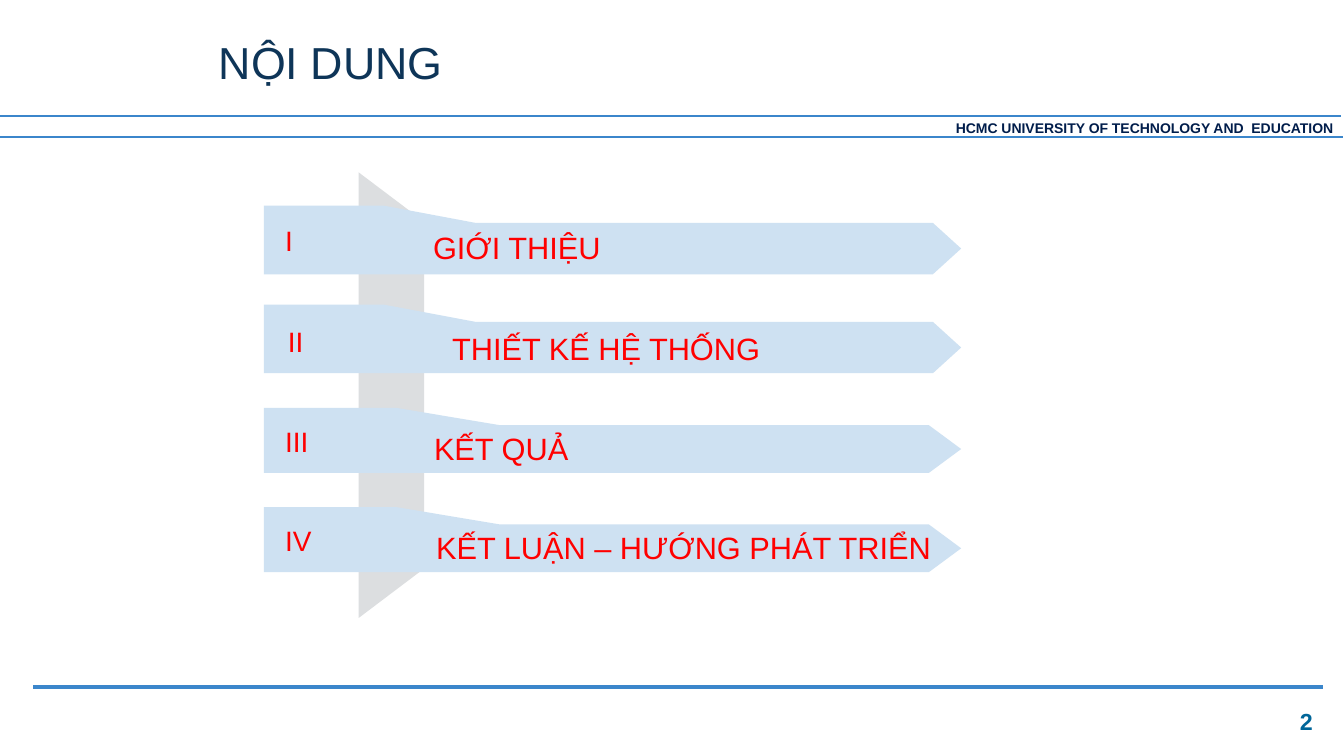
from pptx import Presentation
from pptx.dml.color import RGBColor
from pptx.enum.shapes import MSO_CONNECTOR
from pptx.enum.text import MSO_ANCHOR, PP_ALIGN
from pptx.oxml.ns import qn
from pptx.util import Pt
from lxml.etree import SubElement

COLORS = {
    "rule": "3B86CB",
    "university": "001D4B",
    "title": "0E3558",
    "page": "006699",
    "spine": "DCDEE0",
    "bar": "CEE1F2",
    "item": "FF0000",
}
BAR_LEFT, BAR_TIP = 188.6, 686.9
SHOULDER_DROP = 12.3
TALL_BAR = {"height": 49, "bend": 274.3, "neck": 339.8, "head": 666.7}
SHORT_BAR = {"height": 46.4, "bend": 283.7, "neck": 357.1, "head": 663.8}


def add_text(slide, text, left, top, width, height, *, size, color, bold=False,
             align=PP_ALIGN.LEFT, anchor=MSO_ANCHOR.TOP, wrap=True,
             margins=(7.2, 3.6, 7.2, 3.6)):
    """Add a text box with one formatted paragraph."""
    shape = slide.shapes.add_textbox(Pt(left), Pt(top), Pt(width), Pt(height))
    frame = shape.text_frame
    frame.word_wrap = wrap
    frame.vertical_anchor = anchor
    (frame.margin_left, frame.margin_top,
     frame.margin_right, frame.margin_bottom) = map(Pt, margins)
    paragraph = frame.paragraphs[0]
    paragraph.alignment = align
    run = paragraph.add_run()
    run.text = text
    run.font.name = "Arial"
    run.font.size = Pt(size)
    run.font.bold = bold
    run.font.color.rgb = RGBColor.from_string(COLORS[color])


def add_rule(slide, left, right, top, weight):
    """Add a horizontal rule without a shadow."""
    rule = slide.shapes.add_connector(
        MSO_CONNECTOR.STRAIGHT, Pt(left), Pt(top), Pt(right), Pt(top))
    rule.line.color.rgb = RGBColor.from_string(COLORS["rule"])
    rule.line.width = Pt(weight)
    SubElement(rule._element.spPr, qn("a:effectLst"))


def add_outline(slide, points, color):
    """Add a closed filled outline through the given points."""
    start, *others = [(Pt(x), Pt(y)) for x, y in points]
    builder = slide.shapes.build_freeform(*start)
    builder.add_line_segments(others, close=True)
    shape = builder.convert_to_shape()
    shape.shadow.inherit = False
    shape.fill.solid()
    shape.fill.fore_color.rgb = RGBColor.from_string(COLORS[color])
    shape.line.fill.background()


def add_bar(slide, top, *, height, bend, neck, head):
    """Add an arrow bar that narrows after its numeral."""
    bottom, shoulder = top + height, top + SHOULDER_DROP
    add_outline(slide, [
        (BAR_LEFT, top), (bend, top), (neck, shoulder), (head, shoulder),
        (BAR_TIP, (shoulder + bottom) / 2), (head, bottom), (BAR_LEFT, bottom),
    ], "bar")


def add_frame(slide):
    """Add the rules, university name, title and page number."""
    for left, right, top, weight in [
        (-1.4, 958.3, 82.8, 2), (0, 960, 97.9, 2), (23.8, 945.4, 491, 3),
    ]:
        add_rule(slide, left, right, top, weight)
    add_text(slide, "HCMC UNIVERSITY OF TECHNOLOGY AND  EDUCATION",
             161.3, 85.7, 798.5, 15.8, size=10, color="university", bold=True,
             align=PP_ALIGN.RIGHT, margins=(0, 0, 7.2, 3.6))
    add_text(slide, "NỘI DUNG", 151.9, 25.2, 784.1, 38.2, size=32,
             color="title", anchor=MSO_ANCHOR.MIDDLE, margins=(4.4, 0, 4.4, 0))
    add_text(slide, "2", 721.4, 500.4, 223.9, 28.8, size=16.6, color="page",
             bold=True, align=PP_ALIGN.RIGHT, anchor=MSO_ANCHOR.MIDDLE)


def add_agenda(slide):
    """Add the spine and the four numbered agenda bars."""
    add_outline(slide, [(256.3, 123.1), (303.1, 158.4), (303.1, 406.1),
                        (256.3, 441.4)], "spine")
    items = [
        ("I", 196.6, 156.2, "GIỚI THIỆU", 302.4, 159.8, 134.6, 146.9, TALL_BAR),
        ("II", 198.7, 228.2, "THIẾT KẾ HỆ THỐNG", 316.1, 231.8, 234.7, 217.6,
         TALL_BAR),
        ("III", 196.6, 299.5, "KẾT QUẢ", 303.1, 303.1, 110.9, 291.4, SHORT_BAR),
        ("IV", 196.6, 370.1, "KẾT LUẬN – HƯỚNG PHÁT TRIỂN", 304.6, 374.4,
         375.1, 362.3, SHORT_BAR),
    ]
    for (numeral, numeral_left, numeral_top, label, label_left, label_top,
         label_width, bar_top, bar) in items:
        add_bar(slide, bar_top, **bar)
        add_text(slide, numeral, numeral_left, numeral_top, 43.9, 31.7,
                 size=20, color="item")
        add_text(slide, label, label_left, label_top, label_width, 33.8,
                 size=22, color="item", wrap=False)


def main():
    """Build and save the agenda slide."""
    presentation = Presentation()
    presentation.slide_width = Pt(960.5)
    presentation.slide_height = Pt(540)
    slide = presentation.slides.add_slide(presentation.slide_layouts[6])
    add_frame(slide)
    add_agenda(slide)
    presentation.save("out.pptx")


if __name__ == "__main__":
    main()
